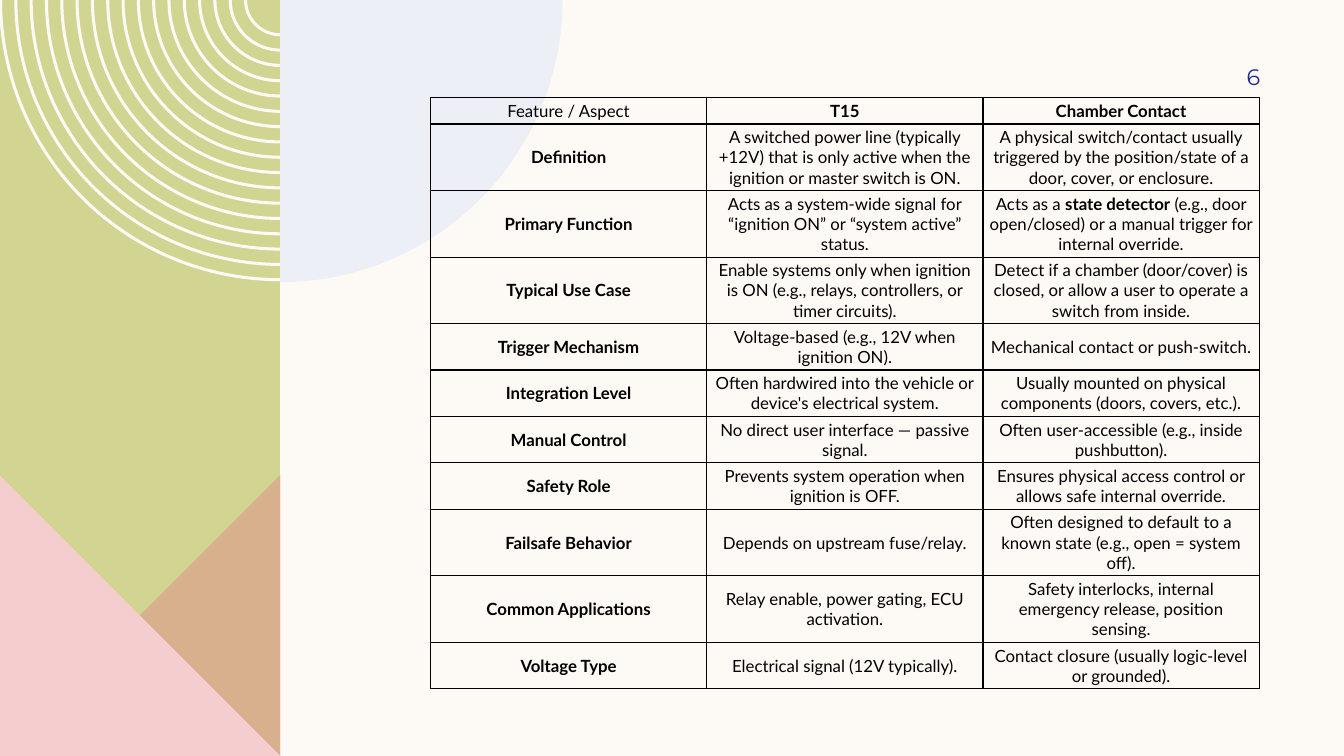
from lxml.etree import SubElement
from pptx import Presentation
from pptx.dml.color import RGBColor
from pptx.enum.text import MSO_ANCHOR, PP_ALIGN
from pptx.oxml import parse_xml
from pptx.oxml.ns import nsdecls, qn
from pptx.util import Inches, Pt

CREAM = RGBColor(0xFD, 0xFA, 0xF6)
GREEN = RGBColor(0xD2, 0xD5, 0x92)
ROSE = RGBColor(0xDE, 0x8C, 0x8C)
PINK = RGBColor(0xF5, 0xCD, 0xCE)
PALE_BLUE = RGBColor(0xDD, 0xE7, 0xF6)
NAVY = RGBColor(0x1F, 0x2C, 0x8F)
BLACK = RGBColor(0, 0, 0)

LEFT, EDGE, BOTTOM = -0.01, 2.78, 7.5  # green panel
TRIANGLE_TOP = 4.71
DISC_RADIUS = 2.8
RING_COUNT, RING_WIDTH = 17, 0.03
OUTER_RADIUS, INNER_RADIUS = 2.79, 0.36

# Text between ** marks is bold.
ROWS = [
    (0.21, "Feature / Aspect", "**T15**", "**Chamber Contact**"),
    (0.53, "**Definition**",
     "A switched power line (typically +12V) that is only active when the ignition or master switch is ON.",
     "A physical switch/contact usually triggered by the position/state of a door, cover, or enclosure."),
    (0.53, "**Primary Function**",
     "Acts as a system-wide signal for “ignition ON” or “system active” status.",
     "Acts as a **state detector** (e.g., door open/closed) or a manual trigger for internal override."),
    (0.53, "**Typical Use Case**",
     "Enable systems only when ignition is ON (e.g., relays, controllers, or timer circuits).",
     "Detect if a chamber (door/cover) is closed, or allow a user to operate a switch from inside."),
    (0.37, "**Trigger Mechanism**",
     "Voltage-based (e.g., 12V when ignition ON).",
     "Mechanical contact or push-switch."),
    (0.37, "**Integration Level**",
     "Often hardwired into the vehicle or device's electrical system.",
     "Usually mounted on physical components (doors, covers, etc.)."),
    (0.37, "**Manual Control**",
     "No direct user interface — passive signal.",
     "Often user-accessible (e.g., inside pushbutton)."),
    (0.37, "**Safety Role**",
     "Prevents system operation when ignition is OFF.",
     "Ensures physical access control or allows safe internal override."),
    (0.53, "**Failsafe Behavior**",
     "Depends on upstream fuse/relay.",
     "Often designed to default to a known state (e.g., open = system off)."),
    (0.53, "**Common Applications**",
     "Relay enable, power gating, ECU activation.",
     "Safety interlocks, internal emergency release, position sensing."),
    (0.37, "**Voltage Type**",
     "Electrical signal (12V typically).",
     "Contact closure (usually logic-level or grounded)."),
]


def add_outline(contours, color, opacity=100):
    """Add one freeform of closed contours in inches.

    A point is (x, y), or (x, y, radius, start, sweep) where an arc,
    with its angles in degrees, leads to it.
    """
    builder = None
    for points in contours:
        corners = [(Inches(x), Inches(y)) for x, y, *_ in points]
        if builder is None:
            builder = slide.shapes.build_freeform(*corners[0])
        else:
            builder.move_to(*corners[0])
        builder.add_line_segments(corners[1:], close=True)
    sp = builder.convert_to_shape()
    sp.shadow.inherit = False
    sp.line.fill.background()
    sp.fill.solid()
    sp.fill.fore_color.rgb = color
    if opacity < 100:
        clr = sp._element.spPr.find(qn("a:solidFill") + "/" + qn("a:srgbClr"))
        SubElement(clr, qn("a:alpha"), val=str(opacity * 1000))
    targets = [point for points in contours for point in points[1:]]
    segments = list(sp._element.iter(qn("a:lnTo")))
    for segment, (x, y, *curve) in zip(segments, targets):
        if curve:
            radius, start, sweep = curve
            size = Inches(radius)
            segment.getparent().replace(segment, parse_xml(
                f'<a:arcTo {nsdecls("a")} wR="{size}" hR="{size}" '
                f'stAng="{start * 60000}" swAng="{sweep * 60000}"/>'))


prs = Presentation()
prs.slide_width, prs.slide_height = Inches(13.33), Inches(7.5)
slide = prs.slides.add_slide(prs.slide_layouts[6])
slide.background.fill.solid()
slide.background.fill.fore_color.rgb = CREAM

# Decoration on the left
add_outline([[(LEFT, 0), (EDGE, 0), (EDGE, BOTTOM), (LEFT, BOTTOM)]], GREEN)
ring_step = (OUTER_RADIUS - INNER_RADIUS) / (RING_COUNT - 1)
rings = []
for i in range(RING_COUNT):
    outer = OUTER_RADIUS - i * ring_step
    inner = outer - RING_WIDTH
    rings.append([(EDGE - outer, 0), (EDGE, outer, outer, 180, -90),
                  (EDGE, inner), (EDGE - inner, 0, inner, 90, 90)])
add_outline(rings, CREAM)
add_outline([[(EDGE, TRIANGLE_TOP), (EDGE, BOTTOM), (LEFT, BOTTOM)]], ROSE, 50)
add_outline([[(LEFT, TRIANGLE_TOP), (EDGE, BOTTOM), (LEFT, BOTTOM)]], PINK)
add_outline([[(EDGE, 0), (EDGE + DISC_RADIUS, 0),
              (EDGE, DISC_RADIUS, DISC_RADIUS, 0, 90)]], PALE_BLUE, 50)

# Page number
box = slide.shapes.add_textbox(Inches(11.33), Inches(0.5), Inches(1.17), Inches(0.52))
tf = box.text_frame
tf.word_wrap = True
tf.vertical_anchor = MSO_ANCHOR.MIDDLE
tf.margin_right = 0
p = tf.paragraphs[0]
p.text = "6"
p.alignment = PP_ALIGN.RIGHT
p.font.size, p.font.name = Pt(16), "Montserrat"
p.font.color.rgb = NAVY

# Comparison table
frame = slide.shapes.add_table(len(ROWS), 3, Inches(4.27), Inches(0.97),
                               Inches(8.22), Inches(5.55))
table = frame.table
table.first_row = table.horz_banding = False
for column in table.columns:
    column.width = Inches(2.74)
for i, (height, *texts) in enumerate(ROWS):
    table.rows[i].height = Inches(height)
    for j, text in enumerate(texts):
        cell = table.cell(i, j)
        cell.vertical_anchor = MSO_ANCHOR.MIDDLE
        cell.margin_left = cell.margin_right = Inches(0.05)
        cell.margin_top = cell.margin_bottom = Inches(0.03)
        tcPr = cell._tc.get_or_add_tcPr()
        for side in "LRTB":
            tcPr.append(parse_xml(
                f'<a:ln{side} {nsdecls("a")} w="12700"><a:solidFill>'
                f'<a:srgbClr val="{BLACK}"/></a:solidFill></a:ln{side}>'))
        cell.fill.background()
        p = cell.text_frame.paragraphs[0]
        p.alignment = PP_ALIGN.CENTER
        p.font.size, p.font.name = Pt(12), "Lato"
        p.font.color.rgb = BLACK
        for k, part in enumerate(text.split("**")):
            if part:
                r = p.add_run()
                r.text = part
                r.font.bold = k % 2 == 1
                r.font.size, r.font.name = Pt(12), "Lato"
                r.font.color.rgb = BLACK
frame.height = Inches(5.55)

prs.save("out.pptx")
